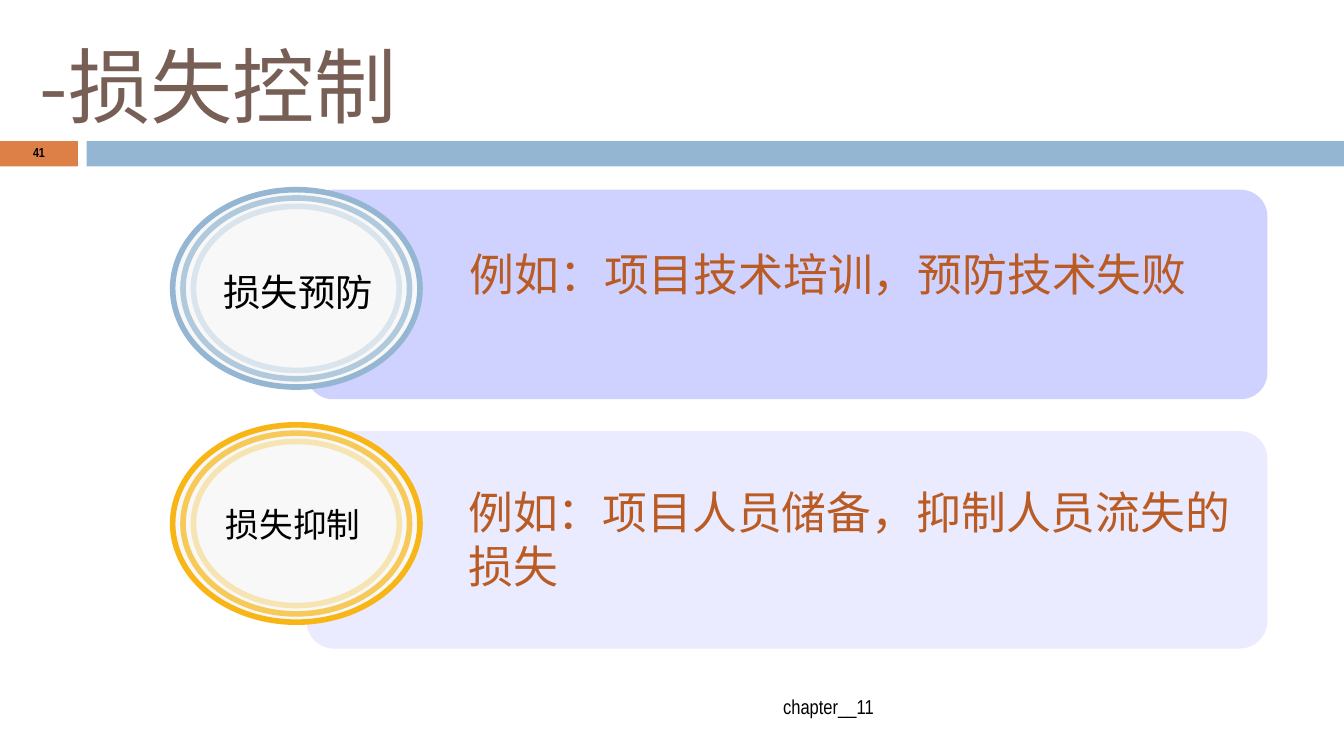
from dataclasses import dataclass

from lxml.etree import SubElement
from pptx import Presentation
from pptx.dml.color import RGBColor
from pptx.enum.shapes import MSO_SHAPE as Shape
from pptx.enum.text import MSO_ANCHOR as Anchor, PP_ALIGN as Align
from pptx.oxml.ns import qn
from pptx.util import Inches, Pt

BLACK = RGBColor(0x00, 0x00, 0x00)
BROWN = RGBColor(0x77, 0x5F, 0x55)
RUST = RGBColor(0xB9, 0x5B, 0x22)
ORANGE = RGBColor(0xDD, 0x80, 0x47)
BLUE = RGBColor(0x94, 0xB6, 0xD2)
GOLD = RGBColor(0xF7, 0xB6, 0x15)
LAVENDER = RGBColor(0xCF, 0xD1, 0xFF)
PALE_LAVENDER = RGBColor(0xEB, 0xEB, 0xFF)
OFF_WHITE = RGBColor(0xF8, 0xF8, 0xF8)

SANS_SC = "Noto Sans CJK SC"
SANS_JP = "Noto Sans CJK JP"
NARROW = "Arial Narrow"

SLIDE_WIDTH = Inches(10)
SLIDE_HEIGHT = SLIDE_WIDTH * 9 // 16
COLUMN, ROW = SLIDE_WIDTH / 100, SLIDE_HEIGHT / 100
RING_STEP_X, RING_STEP_Y = 0.77, 1.1
RING_OPACITIES = (100, 70, 30)


@dataclass(frozen=True)
class Area:
    left: float
    top: float
    width: float
    height: float

    def emu(self) -> tuple[int, ...]:
        return (round(self.left * COLUMN), round(self.top * ROW),
                round(self.width * COLUMN), round(self.height * ROW))

    def inset(self, step: int) -> "Area":
        dx, dy = step * RING_STEP_X, step * RING_STEP_Y
        return Area(self.left + dx, self.top + dy,
                    self.width - 2 * dx, self.height - 2 * dy)


@dataclass(frozen=True)
class Style:
    font: str
    size: float
    color: RGBColor
    bold: bool = False
    align: Align = Align.LEFT
    anchor: Anchor = Anchor.TOP
    spacing: float = 1.0
    indent: float = 0.0


@dataclass(frozen=True)
class Measure:
    name: str
    name_size: int
    name_area: Area
    example: str
    example_area: Area
    panel: Area
    panel_color: RGBColor
    badge: Area
    badge_color: RGBColor


MEASURES = (
    Measure("损失预防", 20, Area(14.8, 34.7, 14.8, 7.82),
            "例如：项目技术培训，预防技术失败", Area(29.95, 31.82, 64.5, 8.88),
            Area(22.8, 25.1, 71.5, 27.71), LAVENDER,
            Area(12.85, 25.1, 18.4, 26.11), BLUE),
    Measure("损失抑制", 18, Area(12.9, 65.8, 17.8, 7.1),
            "例如：项目人员储备，抑制人员流失的损失", Area(29.85, 63.3, 64.9, 15.99),
            Area(22.8, 57.02, 71.5, 28.77), PALE_LAVENDER,
            Area(12.85, 56.2, 18.4, 26.11), GOLD),
)


def write(box, text: str, style: Style) -> None:
    frame = box.text_frame
    frame.text = text
    frame.word_wrap = True
    frame.vertical_anchor = style.anchor
    frame.margin_left = Inches(0.1 + style.indent)
    para = frame.paragraphs[0]
    para.alignment = style.align
    para.line_spacing = style.spacing
    for span in para.runs:
        font = span.font
        font.name, font.size, font.bold = style.font, Pt(style.size), style.bold
        font.color.rgb = style.color
        SubElement(font._element, qn("a:ea")).set("typeface", style.font)


def add_text(page, area: Area, text: str, style: Style) -> None:
    write(page.shapes.add_textbox(*area.emu()), text, style)


def add_block(page, area: Area, color: RGBColor, kind: Shape = Shape.RECTANGLE):
    block = page.shapes.add_shape(kind, *area.emu())
    block.shadow.inherit = False
    block.fill.solid()
    block.fill.fore_color.rgb = color
    block.line.fill.background()
    return block


def add_badge(page, area: Area, color: RGBColor) -> None:
    for step, opacity in enumerate(RING_OPACITIES):
        ring = add_block(page, area.inset(step), OFF_WHITE, Shape.OVAL)
        if step:
            ring.fill.background()
        ring.line.width = Pt(3)
        ring.line.color.rgb = color
        if opacity < 100:
            paint = ring.line._ln.find(".//" + qn("a:srgbClr"))
            SubElement(paint, qn("a:alpha")).set("val", str(opacity * 1000))


def add_measure(page, measure: Measure) -> None:
    panel = add_block(page, measure.panel, measure.panel_color, Shape.ROUNDED_RECTANGLE)
    panel.adjustments[0] = 0.127
    add_text(page, measure.example_area, measure.example,
             Style(SANS_JP, 24, RUST, indent=0.4))
    add_badge(page, measure.badge, measure.badge_color)
    add_text(page, measure.name_area, measure.name,
             Style(SANS_SC, measure.name_size, BLACK, align=Align.CENTER))


def main() -> None:
    deck = Presentation()
    deck.slide_width, deck.slide_height = SLIDE_WIDTH, SLIDE_HEIGHT
    page = deck.slides.add_slide(deck.slide_layouts[5])

    number_area = Area(0, 18.65, 5.8, 3.37)
    add_block(page, number_area, ORANGE)
    add_block(page, Area(6.45, 18.65, 93.55, 3.37), BLUE)

    title = page.shapes.title
    title.left, title.top, title.width, title.height = Area(1.95, 3.73, 85, 16.7).emu()
    write(title, "-损失控制", Style(SANS_SC, 44, BROWN))

    add_text(page, Area(6.7, 91.12, 59.3, 5.33), "chapter__11",
             Style(NARROW, 10.8, BLACK, align=Align.RIGHT,
                   anchor=Anchor.MIDDLE, spacing=0.8))
    add_text(page, number_area, "41",
             Style(NARROW, 7, BLACK, bold=True, align=Align.CENTER,
                   anchor=Anchor.MIDDLE, spacing=0.8))

    for measure in MEASURES:
        add_measure(page, measure)
    deck.save("out.pptx")


if __name__ == "__main__":
    main()
